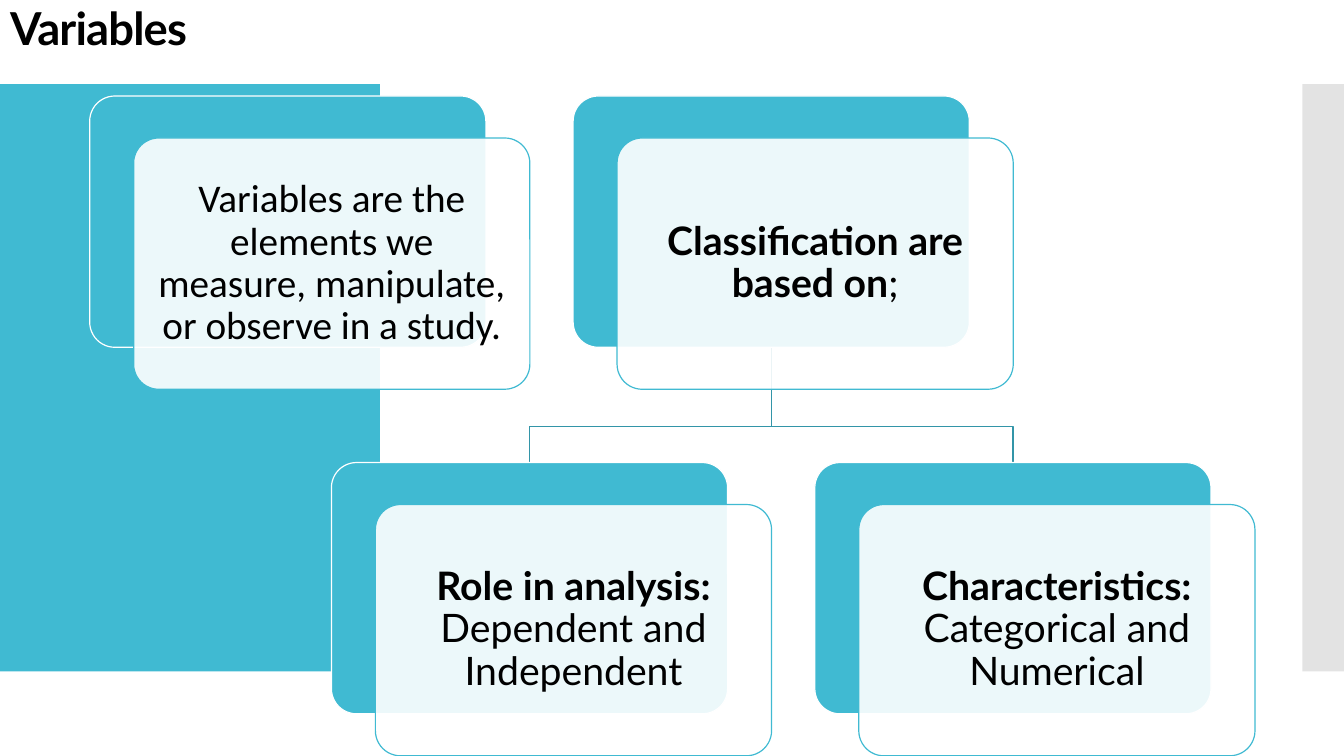
from lxml import etree
from pptx import Presentation
from pptx.dml.color import RGBColor
from pptx.enum.shapes import MSO_SHAPE
from pptx.enum.text import MSO_ANCHOR, PP_ALIGN
from pptx.oxml.ns import qn
from pptx.util import Pt

RECTANGLE = MSO_SHAPE.RECTANGLE
ROUNDED = MSO_SHAPE.ROUNDED_RECTANGLE
MIDDLE = MSO_ANCHOR.MIDDLE
CENTER = PP_ALIGN.CENTER
LEFT = PP_ALIGN.LEFT

TEAL = RGBColor(0x40, 0xBA, 0xD2)
DARK_TEAL = RGBColor(0x33, 0x95, 0xA8)
GRAY = RGBColor(0xC8, 0xC8, 0xC8)
WHITE = RGBColor(0xFF, 0xFF, 0xFF)
BLACK = RGBColor(0, 0, 0)

CARD_WIDTH, CARD_HEIGHT = 283, 179.5
FIRST_LEFT, COLUMN_STEP = 64.1, 172.65
ROW_TOPS = (68.6, 330.4)
FRONT_SHIFT_X, FRONT_SHIFT_Y = 31.4, 30
BRANCH_Y = 304.5
LINE_WIDTH = 0.85

CARDS = (
    (0, 0, (("Variables are the elements we measure, manipulate, or observe in a study.",
             "Calibri", False),)),
    (2, 0, (("Classification are based on", "Lato", True), (";", "Lato", False))),
    (1, 1, (("Role in analysis: ", "Lato", True),
            ("Dependent and Independent", "Lato", False))),
    (3, 1, (("Characteristics: ", "Lato", True),
            ("Categorical and Numerical", "Lato", False))),
)


def card_left(column):
    return FIRST_LEFT + column * COLUMN_STEP


def add_box(page, kind, left, top, width, height, fill, line=None, opacity=100):
    box = page.shapes.add_shape(kind, Pt(left), Pt(top), Pt(width), Pt(height))
    box.shadow.inherit = False
    box.fill.solid()
    box.fill.fore_color.rgb = fill
    if opacity < 100:
        color = box.fill._xPr.find(qn("a:solidFill"))[0]
        etree.SubElement(color, qn("a:alpha")).set("val", str(opacity * 1000))
    if line is None:
        box.line.fill.background()
    else:
        box.line.color.rgb = line
        box.line.width = Pt(LINE_WIDTH)
    return box


def write_text(box, spans, size, align, inset, spacing=None):
    frame = box.text_frame
    frame.word_wrap = True
    frame.vertical_anchor = MIDDLE
    frame.margin_left = frame.margin_right = Pt(inset)
    frame.margin_top = frame.margin_bottom = Pt(inset)
    para = frame.paragraphs[0]
    para.alignment = align
    para.line_spacing = 0.9
    for text, font, bold in spans:
        span = para.add_run()
        span.text = text
        span.font.name = font
        span.font.size = Pt(size)
        span.font.bold = bold
        span.font.color.rgb = BLACK
        if spacing is not None:
            span.font._element.set("spc", str(round(spacing * 100)))


def add_title(page, text):
    title = page.shapes.title
    title.left, title.top = Pt(0), Pt(0)
    title.width, title.height = Pt(960), Pt(44.6)
    write_text(title, ((text, "Lato", True),), 32.4, LEFT, 7.2, spacing=-0.6)


def add_branch(page, parent_column, child_column):
    start_x = card_left(parent_column) + CARD_WIDTH / 2
    end_x = card_left(child_column) + CARD_WIDTH / 2
    start_y = ROW_TOPS[0] + CARD_HEIGHT
    builder = page.shapes.build_freeform(Pt(start_x), Pt(start_y))
    corners = ((start_x, BRANCH_Y), (end_x, BRANCH_Y), (end_x, ROW_TOPS[1]))
    builder.add_line_segments([(Pt(x), Pt(y)) for x, y in corners], close=False)
    branch = builder.convert_to_shape()
    branch.shadow.inherit = False
    branch.fill.background()
    branch.line.color.rgb = DARK_TEAL
    branch.line.width = Pt(LINE_WIDTH)


def add_card(page, column, row, spans):
    left, top = card_left(column), ROW_TOPS[row]
    back = add_box(page, ROUNDED, left, top, CARD_WIDTH, CARD_HEIGHT, TEAL, WHITE)
    front = add_box(page, ROUNDED, left + FRONT_SHIFT_X, top + FRONT_SHIFT_Y,
                    CARD_WIDTH, CARD_HEIGHT, WHITE, TEAL, opacity=90)
    for box in (back, front):
        box.adjustments[0] = 0.1
    write_text(front, spans, 28, CENTER, 8.9)


def main():
    deck = Presentation()
    deck.slide_width, deck.slide_height = Pt(960), Pt(540)
    page = deck.slides.add_slide(deck.slide_layouts[5])
    add_title(page, "Variables")
    add_box(page, RECTANGLE, 0, 60, 271.3, 419.6, TEAL)
    add_box(page, RECTANGLE, 930.2, 60, 29.8, 419.6, GRAY, opacity=50)
    for child_column in (3, 1):
        add_branch(page, 2, child_column)
    for column, row, spans in CARDS:
        add_card(page, column, row, spans)
    deck.save("out.pptx")


if __name__ == "__main__":
    main()
